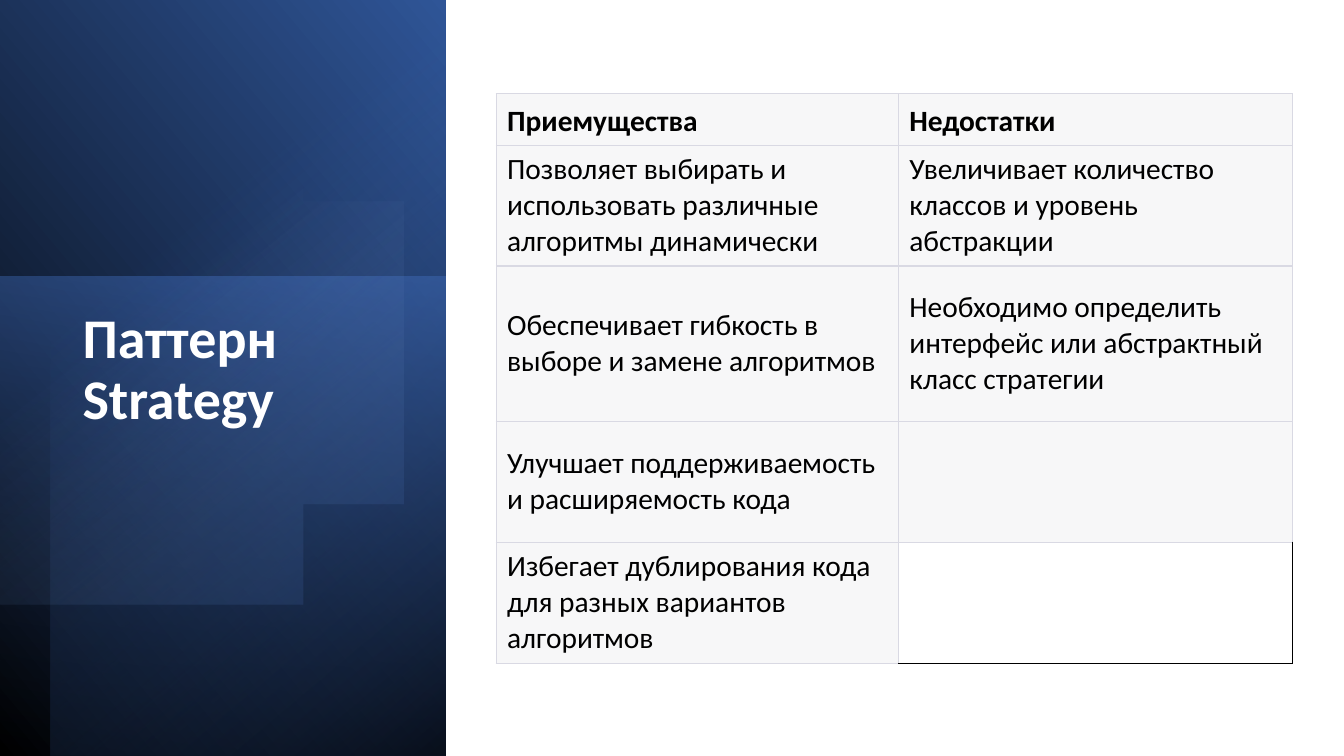
"""Build the slide on the advantages and drawbacks of the Strategy pattern."""
import math

from lxml import etree
from pptx import Presentation, util as u
from pptx.dml.color import RGBColor
from pptx.enum import shapes, text
from pptx.oxml import ns

WIDTH, HEIGHT = 13.33, 7.5
PANEL = 4.42
FONT = "Calibri"
BORDER, CELL = "D9D9E3", "F7F7F8"
COLUMNS = (3.99, 3.91)
ROWS = (0.51, 1.2, 1.54, 1.2, 1.2)
CONTENT = (
    ("Приемущества", "Недостатки"),
    ("Позволяет выбирать и использовать различные алгоритмы динамически",
     "Увеличивает количество классов и уровень абстракции"),
    ("Обеспечивает гибкость в выборе и замене алгоритмов",
     "Необходимо определить интерфейс или абстрактный класс стратегии"),
    ("Улучшает поддерживаемость и расширяемость кода", ""),
    ("Избегает дублирования кода для разных вариантов алгоритмов", ""),
)


def rgb(value):
    """Return the colour for a hex string."""
    return RGBColor.from_string(value)


def add_element(parent, tag, **attributes):
    """Append a DrawingML element to its parent."""
    return etree.SubElement(parent, ns.qn(f"a:{tag}"), attributes)


def paint_gradient(shape, angle, stops):
    """Fill a shape with a gradient of (position, colour, opacity) stops."""
    shape.shadow.inherit = False
    shape.line.fill.background()
    shape.fill.gradient()
    gradient = shape._element.spPr.find(ns.qn("a:gradFill"))
    for child in list(gradient):
        gradient.remove(child)
    stop_list = add_element(gradient, "gsLst")
    for position, colour, opacity in stops:
        stop = add_element(stop_list, "gs", pos=str(position * 1000))
        tint = add_element(stop, "srgbClr", val=colour)
        add_element(tint, "alpha", val=str(opacity * 1000))
    add_element(gradient, "lin", ang=str(angle * 60000), scaled="0")


def add_panel(slide, left, top, rotation, flipped, angle, stops):
    """Add a turned rectangle reaching from (left, top) to the panel's corner."""
    across, down = PANEL - left, HEIGHT - top
    shape = slide.shapes.add_shape(
        shapes.MSO_SHAPE.RECTANGLE,
        u.Inches((left + PANEL - down) / 2), u.Inches((top + HEIGHT - across) / 2),
        u.Inches(down), u.Inches(across))
    shape.rotation = rotation
    if flipped:
        shape._element.spPr.xfrm.set("flipH", "1")
    paint_gradient(shape, angle, stops)


def add_cut_circle(slide, centre_x, centre_y, radius, angle, stops):
    """Add a circle cut off along the slide's left edge."""
    limit = math.acos(-centre_x / radius)
    steps = 120
    turns = [limit * (2 * step / steps - 1) for step in range(steps + 1)]
    points = [(centre_x + radius * math.cos(turn), centre_y + radius * math.sin(turn))
              for turn in turns]
    builder = slide.shapes.build_freeform(*points[0], scale=u.Inches(1))
    builder.add_line_segments(points[1:], close=True)
    paint_gradient(builder.convert_to_shape(), angle, stops)


def style_paragraph(paragraph, size, colour, bold):
    """Set the font of a whole paragraph."""
    font = paragraph.font
    font.name, font.size, font.bold = FONT, u.Pt(size), bold
    font.color.rgb = rgb(colour)


def add_title(slide, wording):
    """Add the title on the dark panel."""
    box = slide.shapes.add_textbox(
        u.Inches(0.72), u.Inches(3.03), u.Inches(3.15), u.Inches(3.36))
    box.text_frame.word_wrap = True
    paragraph = box.text_frame.paragraphs[0]
    paragraph.text = wording
    paragraph.line_spacing = 0.9
    paragraph.space_after = u.Pt(6)
    style_paragraph(paragraph, 40, "FFFFFF", True)


def set_borders(cell, **colours):
    """Draw cell borders ahead of the cell's fill."""
    properties = cell._tc.get_or_add_tcPr()
    for index, (side, colour) in enumerate(colours.items()):
        points = 0.75 if side in "LR" else 1
        line = etree.Element(ns.qn(f"a:ln{side}"), w=str(u.Pt(points)))
        add_element(add_element(line, "solidFill"), "srgbClr", val=colour)
        properties.insert(index, line)


def fill_cell(cell, wording, is_header, is_open):
    """Write and style one table cell."""
    cell.margin_left = cell.margin_right = u.Inches(0.11)
    cell.margin_top = cell.margin_bottom = u.Inches(0.06)
    cell.vertical_anchor = text.MSO_ANCHOR.BOTTOM if is_header else text.MSO_ANCHOR.MIDDLE
    paragraph = cell.text_frame.paragraphs[0]
    if wording:
        paragraph.text = wording
    style_paragraph(paragraph, 21, "000000", is_header)
    if is_open:
        cell.fill.background()
    else:
        cell.fill.solid()
        cell.fill.fore_color.rgb = rgb(CELL)
    outer = "000000" if is_open else BORDER
    set_borders(cell, L=BORDER, R=outer, T=BORDER, B=outer)


def add_comparison(slide):
    """Add the table of advantages and drawbacks."""
    table = slide.shapes.add_table(
        len(ROWS), len(COLUMNS), u.Inches(4.92), u.Inches(0.93),
        u.Inches(sum(COLUMNS)), u.Inches(sum(ROWS))).table
    table.first_row = table.horz_banding = False
    for column, width in zip(table.columns, COLUMNS):
        column.width = u.Inches(width)
    last = (len(ROWS) - 1, len(COLUMNS) - 1)
    for row, height in enumerate(ROWS):
        table.rows[row].height = u.Inches(height)
        for column, wording in enumerate(CONTENT[row]):
            fill_cell(table.cell(row, column), wording, row == 0, (row, column) == last)


def main():
    """Build and save the presentation."""
    presentation = Presentation()
    presentation.slide_width, presentation.slide_height = u.Inches(WIDTH), u.Inches(HEIGHT)
    slide = presentation.slides.add_slide(presentation.slide_layouts[6])
    add_panel(slide, 0, 0, 90, True, 310, [(0, "000000", 100), (100, "2F5597", 100)])
    add_panel(slide, 0, 2.74, 270, False, 190, [(0, "4472C4", 50), (100, "203864", 0)])
    add_panel(slide, 0.5, 0, 270, True, 220, [(0, "000000", 59), (69, "4472C4", 0)])
    add_cut_circle(slide, 1.43, 3.47, 2.63, 52, [(39, "8FAADC", 0), (100, "2F5597", 26)])
    add_title(slide, "Паттерн Strategy")
    add_comparison(slide)
    presentation.save("out.pptx")


if __name__ == "__main__":
    main()
